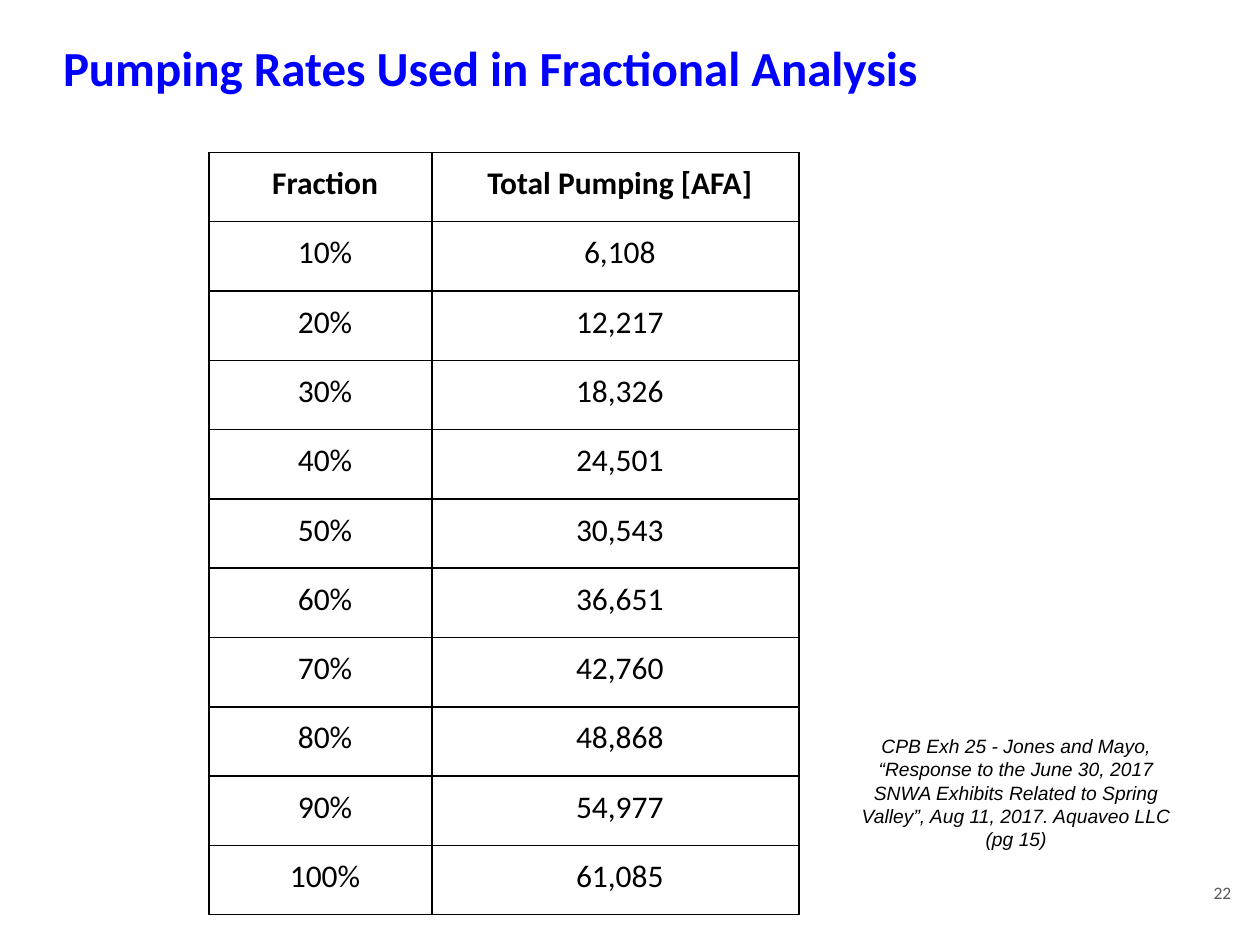
from lxml.etree import SubElement
from pptx import Presentation
from pptx.dml.color import RGBColor
from pptx.enum.text import MSO_ANCHOR, PP_ALIGN
from pptx.oxml.ns import qn
from pptx.util import Inches, Pt

PUMPING = [
    ("Fraction", "Total Pumping [AFA]"),
    ("10%", "6,108"),
    ("20%", "12,217"),
    ("30%", "18,326"),
    ("40%", "24,501"),
    ("50%", "30,543"),
    ("60%", "36,651"),
    ("70%", "42,760"),
    ("80%", "48,868"),
    ("90%", "54,977"),
    ("100%", "61,085"),
]
CITATION = (
    "CPB Exh 25 - Jones and Mayo, “Response to the June 30, 2017 SNWA Exhibits "
    "Related to Spring Valley”, Aug 11, 2017. Aquaveo LLC (pg 15)"
)


def color(hex_code):
    """Turn a hex string into a colour."""
    return RGBColor.from_string(hex_code)


def write(frame, text, size, font, hex_code, align, anchor=MSO_ANCHOR.TOP, bold=False, italic=False):
    """Put one formatted paragraph into a text frame."""
    frame.text = text
    frame.word_wrap = True
    frame.vertical_anchor = anchor
    frame.margin_left = frame.margin_right = Inches(0.1)
    frame.margin_top = frame.margin_bottom = Inches(0.1)
    paragraph = frame.paragraphs[0]
    paragraph.alignment = align
    style = paragraph.runs[0].font
    style.size, style.name = Pt(size), font
    style.bold, style.italic = bold, italic
    style.color.rgb = color(hex_code)


def place_title(slide, left, top, width, height):
    """Move and format the title placeholder."""
    title = slide.shapes.title
    title.left, title.top, title.width, title.height = left, top, width, height
    write(title.text_frame, "Pumping Rates Used in Fractional Analysis",
          28, "Calibri", "0000FF", PP_ALIGN.LEFT, bold=True)


def border_cell(cell, hex_code):
    """Draw a one point line on every side of a cell."""
    properties = cell._tc.get_or_add_tcPr()
    for side in ("a:lnL", "a:lnR", "a:lnT", "a:lnB"):
        line = SubElement(properties, qn(side), w=str(Pt(1)))
        fill = SubElement(line, qn("a:solidFill"))
        SubElement(fill, qn("a:srgbClr"), val=hex_code)


def fill_cell(cell, text, bold):
    """Write and format one table cell."""
    write(cell.text_frame, text, 18, "Calibri", "000000", PP_ALIGN.CENTER, bold=bold)
    cell.margin_left = cell.margin_right = Inches(0.07)
    paragraph = cell.text_frame.paragraphs[0]
    paragraph.line_spacing = 1.15
    paragraph._p.get_or_add_pPr().set("marL", str(Inches(0.07)))
    border_cell(cell, "000000")
    cell.fill.background()


def place_table(slide, left, top, width, height):
    """Build the table of pumping rates."""
    table = slide.shapes.add_table(len(PUMPING), 2, left, top, width, height).table
    table.first_row = table.horz_banding = False
    table.columns[0].width = Inches(1.77)
    table.columns[1].width = width - Inches(1.77)
    for row, values in enumerate(PUMPING):
        table.rows[row].height = height // len(PUMPING)
        for column, value in enumerate(values):
            fill_cell(table.cell(row, column), value, bold=row == 0)


def place_citation(slide, left, top, width, height):
    """Add the source of the rates."""
    citation = slide.shapes.add_textbox(left, top, width, height)
    write(citation.text_frame, CITATION, 11, "Arial", "000000", PP_ALIGN.CENTER, italic=True)


def place_page_number(slide, left, top, width, height):
    """Add the page number."""
    number = slide.shapes.add_textbox(left, top, width, height)
    write(number.text_frame, "22", 10, "Calibri", "595959", PP_ALIGN.RIGHT, MSO_ANCHOR.MIDDLE)


def main():
    """Build and save the slide."""
    deck = Presentation()
    deck.slide_width, deck.slide_height = Inches(10), Inches(7.5)
    slide = deck.slides.add_slide(deck.slide_layouts[5])
    place_title(slide, Inches(0.4), Inches(0.2), Inches(9.2), Inches(0.83))
    place_table(slide, Inches(1.66), Inches(1.21), Inches(4.68), Inches(6.05))
    place_citation(slide, Inches(6.66), Inches(5.73), Inches(2.81), Inches(0.95))
    place_page_number(slide, Inches(9.27), Inches(6.8), Inches(0.6), Inches(0.57))
    deck.save("out.pptx")


if __name__ == "__main__":
    main()
